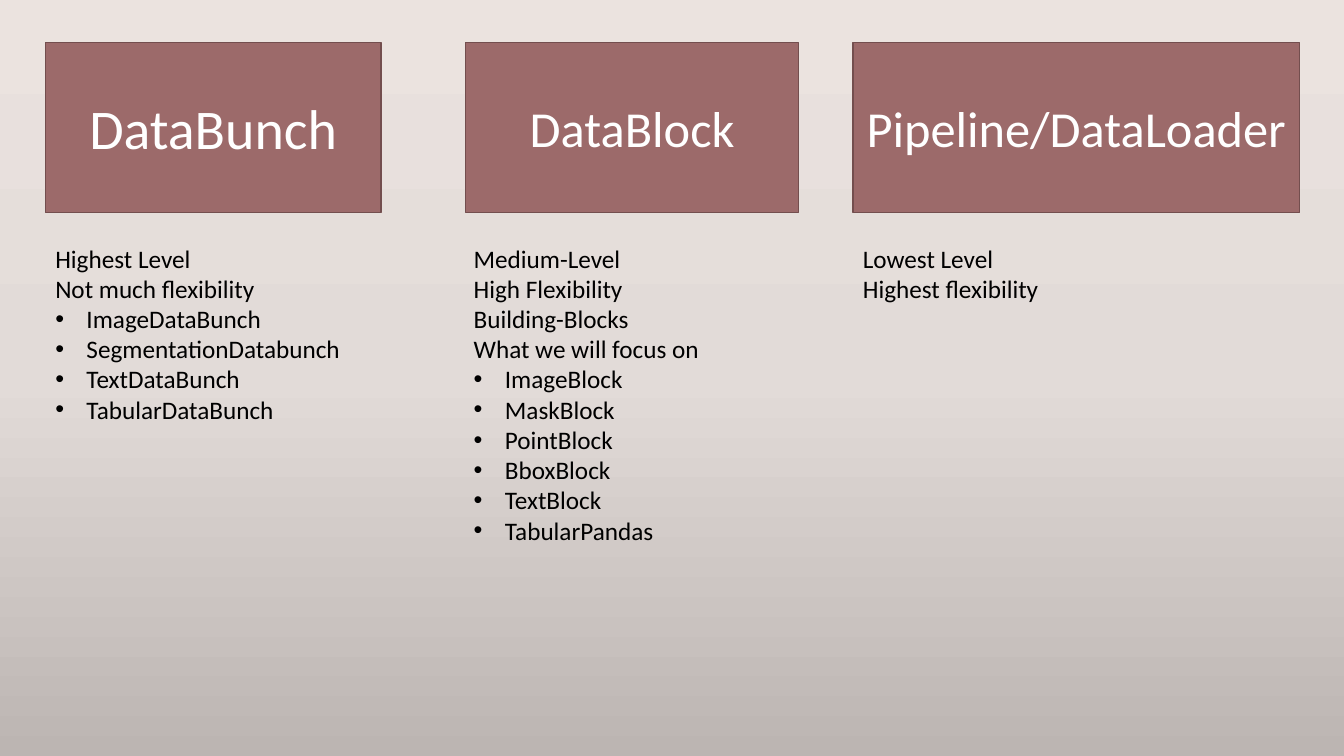
from copy import deepcopy
from pptx import Presentation
from pptx.dml.color import RGBColor as RGB
from pptx.enum.shapes import MSO_SHAPE as SHAPE
from pptx.enum.text import MSO_ANCHOR as ANCHOR, MSO_AUTO_SIZE as FIT, PP_ALIGN as ALIGN
from pptx.oxml.ns import qn
from pptx.util import Inches, Pt

LEVELS = [
    dict(name="DataBunch", size=40, card=(0.45, 3.33), body_left=0.45,
         traits=["Highest Level", "Not much flexibility"],
         items=["ImageDataBunch", "SegmentationDatabunch", "TextDataBunch", "TabularDataBunch"]),
    dict(name="DataBlock", size=36, card=(4.62, 3.3), body_left=4.6,
         traits=["Medium-Level", "High Flexibility", "Building-Blocks", "What we will focus on"],
         items=["ImageBlock", "MaskBlock", "PointBlock", "BboxBlock", "TextBlock", "TabularPandas"]),
    dict(name="Pipeline/DataLoader", size=36, card=(8.46, 4.43), body_left=8.46,
         traits=["Lowest Level", "Highest flexibility"], items=[]),
]
THEME = dict(font="Calibri", body=18, card="9C6A6A", edge="734E4E", light="FFFFFF", dark="000000",
             backdrop=[(0, "EBE3DF"), (0.5, "E2DBD8"), (1, "BCB5B2")])
CARD_TOP, CARD_HEIGHT = 0.42, 1.69
BODY_TOP, BODY_WIDTH, LINE_HEIGHT, BODY_PADDING = 2.36, 3.33, 0.3, 0.11
INDENT = Inches(0.31)


def paint_background(s):
    fill = s.background.fill
    fill.gradient()
    fill.gradient_angle = 270
    stop_list = s._element.find(".//" + qn("a:gsLst"))
    stop_list.append(deepcopy(stop_list[-1]))
    for stop, (position, color) in zip(fill.gradient_stops, THEME["backdrop"]):
        stop.position = position
        stop.color.rgb = RGB.from_string(color)


def write(p, text, size, color):
    r = p.add_run()
    r.text = text
    for key, value in dict(name=THEME["font"], size=Pt(size)).items():
        setattr(r.font, key, value)
    r.font.color.rgb = RGB.from_string(color)


def add_bullet(p):
    props = p._p.get_or_add_pPr()
    props.set("marL", str(INDENT))
    props.set("indent", str(-INDENT))
    for tag, key, value in [("a:buFont", "typeface", "Arial"), ("a:buChar", "char", "•")]:
        props.makeelement(qn(tag), {key: value})
        props.append(props.makeelement(qn(tag), {key: value}))


def add_card(s, level):
    left, width = level["card"]
    sp = s.shapes.add_shape(SHAPE.RECTANGLE, *map(Inches, (left, CARD_TOP, width, CARD_HEIGHT)))
    sp.shadow.inherit = False
    sp.fill.solid()
    sp.fill.fore_color.rgb = RGB.from_string(THEME["card"])
    sp.line.color.rgb = RGB.from_string(THEME["edge"])
    sp.line.width = Pt(1)
    tf = sp.text_frame
    for key, value in dict(word_wrap=True, vertical_anchor=ANCHOR.MIDDLE).items():
        setattr(tf, key, value)
    p = tf.paragraphs[0]
    p.alignment = ALIGN.CENTER
    write(p, level["name"], level["size"], THEME["light"])


def add_body(s, level):
    lines = [(t, False) for t in level["traits"]] + [(t, True) for t in level["items"]]
    height = len(lines) * LINE_HEIGHT + BODY_PADDING
    sp = s.shapes.add_textbox(*map(Inches, (level["body_left"], BODY_TOP, BODY_WIDTH, height)))
    tf = sp.text_frame
    for key, value in dict(word_wrap=True, auto_size=FIT.SHAPE_TO_FIT_TEXT).items():
        setattr(tf, key, value)
    for i, (text, bulleted) in enumerate(lines):
        p = tf.add_paragraph() if i else tf.paragraphs[0]
        if bulleted:
            add_bullet(p)
        write(p, text, THEME["body"], THEME["dark"])


def main():
    """Build the slide comparing three levels of data API."""
    prs = Presentation()
    prs.slide_width, prs.slide_height = Inches(13.33), Inches(7.5)
    s = prs.slides.add_slide(prs.slide_layouts[6])
    paint_background(s)
    for add_part in (add_card, add_body):
        for level in LEVELS:
            add_part(s, level)
    prs.save("out.pptx")


main()
